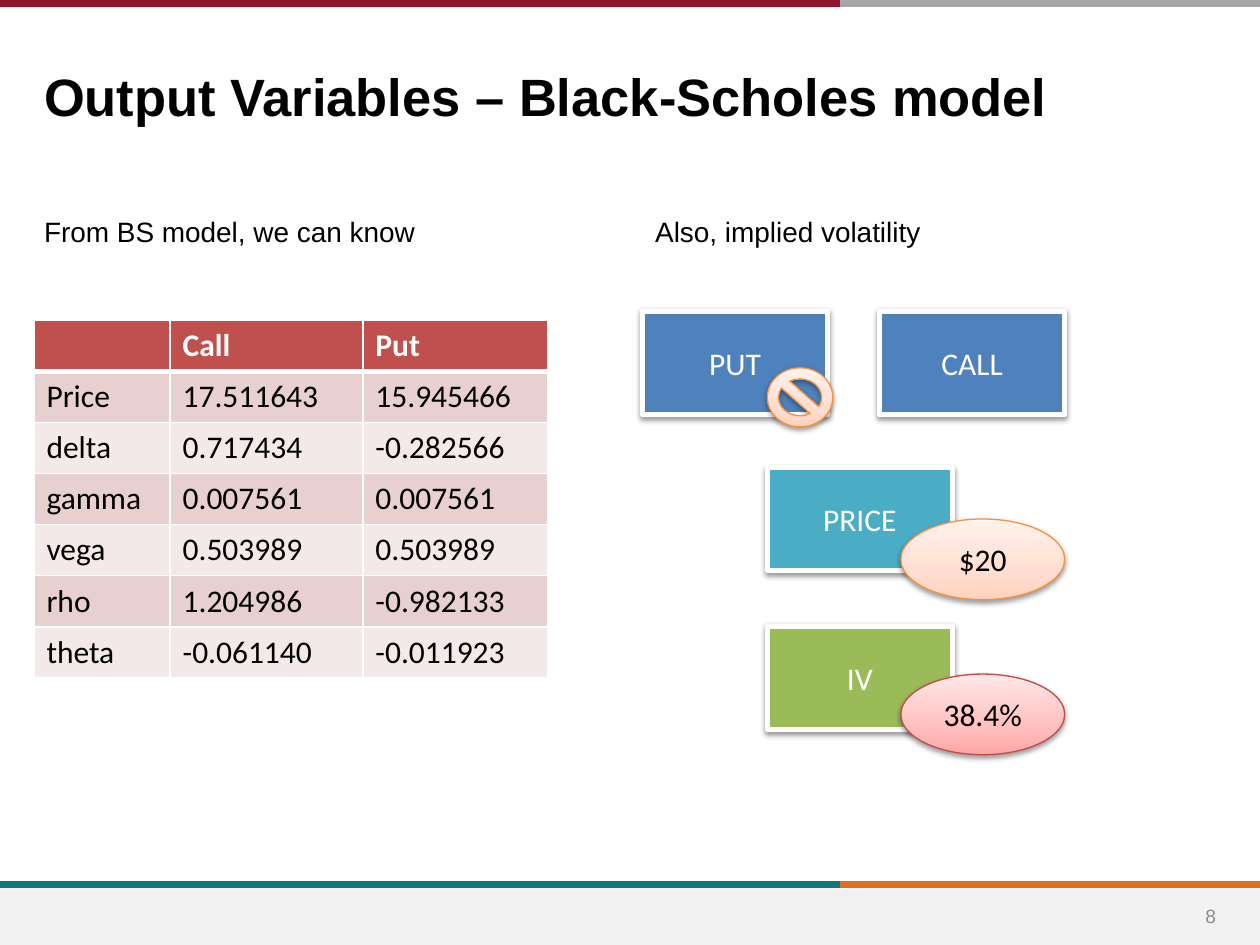
from copy import deepcopy
from dataclasses import dataclass

from lxml.etree import SubElement
from pptx import Presentation
from pptx.dml.color import RGBColor
from pptx.enum.shapes import MSO_CONNECTOR as Connector, MSO_SHAPE as Shape
from pptx.enum.text import MSO_ANCHOR as Anchor, PP_ALIGN as Align
from pptx.oxml.ns import qn
from pptx.util import Pt


@dataclass(frozen=True)
class Theme:
    """Colours, fonts and type sizes of the slide."""
    heading_font: str = "Arial"
    label_font: str = "Calibri"
    title_size: float = 30
    body_size: float = 16
    label_size: float = 18
    number_size: float = 11
    black: str = "000000"
    white: str = "FFFFFF"
    grey: str = "A6A6A6"
    number: str = "8C8C8C"
    footer: str = "F2F2F2"
    crimson: str = "90152A"
    teal: str = "0F787D"
    orange: str = "DF7023"
    blue: str = "4F81BD"
    aqua: str = "4BACC6"
    green: str = "9BBB59"
    table_header: str = "C0504D"
    table_rows: tuple = ("E8D0D0", "F4E9E9")
    peach: tuple = ("FFD2BD", "FFDED0", "FFF2ED")
    peach_line: str = "F69240"
    rose: tuple = ("FFA6A5", "FFC0BF", "FFE7E7")
    rose_line: str = "BF4C48"


THEME = Theme()
GREEKS = [
    ("", "Call", "Put"),
    ("Price", "17.511643", "15.945466"),
    ("delta", "0.717434", "-0.282566"),
    ("gamma", "0.007561", "0.007561"),
    ("vega", "0.503989", "0.503989"),
    ("rho", "1.204986", "-0.982133"),
    ("theta", "-0.061140", "-0.011923"),
]


def rgb(value):
    """Return a colour object for a hex value."""
    return RGBColor.from_string(value)


def points(*values):
    """Return the values as lengths in points."""
    return [Pt(value) for value in values]


def write(text_frame, text, font, size, color, bold=False, align=Align.LEFT):
    """Set one paragraph of text and format its run."""
    text_frame.text = text
    paragraph = text_frame.paragraphs[0]
    paragraph.alignment = align
    for run in paragraph.runs:
        run.font.name, run.font.size, run.font.bold = font, Pt(size), bold
        run.font.color.rgb = rgb(color)
    return paragraph


def add_stripe(slide, left, y, width, color):
    """Draw one thick horizontal line."""
    line = slide.shapes.add_connector(Connector.STRAIGHT, *points(left, y, left + width, y))
    line.line.color.rgb = rgb(color)
    line.line.width = Pt(4)
    SubElement(line._element.spPr, qn("a:effectLst"))


def add_frame(slide, width, height):
    """Draw the top and bottom stripes, the footer band and the slide number."""
    split, footer_height = width * 2 / 3, 32.4
    for y, left_color, right_color in (
        (2, THEME.crimson, THEME.grey),
        (505.5, THEME.teal, THEME.orange),
    ):
        add_stripe(slide, split, y, width - split, right_color)
        add_stripe(slide, 0, y, split, left_color)
    band = slide.shapes.add_shape(
        Shape.RECTANGLE, *points(0, height - footer_height, width, footer_height))
    band.shadow.inherit = False
    band.fill.solid()
    band.fill.fore_color.rgb = rgb(THEME.footer)
    band.line.fill.background()
    number = slide.shapes.add_textbox(*points(673.2, 509, 37.4, 28.8)).text_frame
    number.word_wrap = True
    number.vertical_anchor = Anchor.MIDDLE
    write(number, "8", THEME.heading_font, THEME.number_size, THEME.number, align=Align.CENTER)


def place(placeholder, left, top, width, height):
    """Move a placeholder to a box."""
    placeholder.left, placeholder.top, placeholder.width, placeholder.height = points(
        left, top, width, height)


def fill_title(title, box, text):
    """Place and format the slide title."""
    place(title, *box)
    title.text_frame.vertical_anchor = Anchor.MIDDLE
    write(title.text_frame, text, THEME.heading_font, THEME.title_size, THEME.black, bold=True)


def fill_body(body, box, text):
    """Place a body placeholder and set its unbulleted lead line."""
    place(body, *box)
    body.text_frame.margin_top = Pt(35)
    paragraph = write(body.text_frame, text, THEME.heading_font, THEME.body_size, THEME.black)
    properties = paragraph._p.get_or_add_pPr()
    properties.set("marL", "0")
    properties.set("indent", "0")
    SubElement(properties, qn("a:buNone"))
    paragraph.space_before, paragraph.space_after = Pt(0), Pt(12)


def add_border(cell, side, width):
    """Draw a white border on one side of a cell."""
    border = SubElement(cell._tc.get_or_add_tcPr(), qn(f"a:ln{side}"), w=str(Pt(width)))
    fill = SubElement(border, qn("a:solidFill"))
    SubElement(fill, qn("a:srgbClr"), val=THEME.white)


def add_greeks_table(slide, left, top, column_widths, row_height):
    """Build the table of call and put values."""
    table = slide.shapes.add_table(
        len(GREEKS), len(column_widths),
        *points(left, top, sum(column_widths), row_height * len(GREEKS))).table
    for column, width in zip(table.columns, column_widths):
        column.width = Pt(width)
    for index, values in enumerate(GREEKS):
        table.rows[index].height = Pt(row_height)
        header = index == 0
        for cell, value in zip(table.rows[index].cells, values):
            for side in "LRTB":
                thick = (index, side) in ((0, "B"), (1, "T"))
                add_border(cell, side, 3 if thick else 1)
            cell.fill.solid()
            cell.fill.fore_color.rgb = rgb(
                THEME.table_header if header else THEME.table_rows[(index - 1) % 2])
            write(cell.text_frame, value, THEME.label_font, THEME.label_size,
                  THEME.white if header else THEME.black, bold=header)


def add_node(slide, kind, box, text, fill, line, line_width, text_color):
    """Add a shadowed shape with a plain or gradient fill and a centred label."""
    shape = slide.shapes.add_shape(kind, *points(*box))
    if isinstance(fill, tuple):
        shape.fill.gradient()
        shape.fill.gradient_angle = 90
        stop_list = shape._element.spPr.find(".//" + qn("a:gsLst"))
        stop_list.append(deepcopy(stop_list[-1]))
        for stop, color, position in zip(shape.fill.gradient_stops, fill, (0, 0.35, 1)):
            stop.color.rgb = rgb(color)
            stop.position = position
    else:
        shape.fill.solid()
        shape.fill.fore_color.rgb = rgb(fill)
    shape.line.color.rgb = rgb(line)
    shape.line.width = Pt(line_width)
    shape.shadow.inherit = False
    shadow = SubElement(
        shape._element.spPr.find(qn("a:effectLst")), qn("a:outerShdw"),
        blurRad=str(Pt(3.1)), dist=str(Pt(1.6)), dir="5400000", rotWithShape="0")
    color = SubElement(shadow, qn("a:srgbClr"), val=THEME.black)
    SubElement(color, qn("a:alpha"), val="38000")
    if text:
        shape.text_frame.vertical_anchor = Anchor.MIDDLE
        write(shape.text_frame, text, THEME.label_font, THEME.label_size, text_color,
              align=Align.CENTER)


def add_volatility_diagram(slide, left, top, width):
    """Draw the option boxes with their badges."""
    box_width, box_height, badge_width, badge_height = 105.8, 59, 93.6, 46.1
    middle = left + 71.3
    badge_left = left + width - badge_width
    for text, x, y, color in (
        ("CALL", left + width - box_width, top, THEME.blue),
        ("PUT", left, top, THEME.blue),
        ("PRICE", middle, top + 89.3, THEME.aqua),
        ("IV", middle, top + 180, THEME.green),
    ):
        add_node(slide, Shape.RECTANGLE, (x, y, box_width, box_height), text, color,
                 THEME.white, 3, THEME.white)
    for kind, text, box, fill, line in (
        (Shape.OVAL, "$20", (badge_left, top + 118.8, badge_width, badge_height),
         THEME.peach, THEME.peach_line),
        (Shape.NO_SYMBOL, "", (middle, top + 32.4, 37.4, 33.8),
         THEME.peach, THEME.peach_line),
        (Shape.OVAL, "38.4%", (badge_left, top + 207.4, badge_width, badge_height),
         THEME.rose, THEME.rose_line),
    ):
        add_node(slide, kind, box, text, fill, line, 0.75, THEME.black)


def main():
    """Build and save the slide."""
    presentation = Presentation()
    presentation.slide_width, presentation.slide_height = points(720, 540)
    slide = presentation.slides.add_slide(presentation.slide_layouts[3])
    title, left_body, right_body = slide.placeholders
    add_frame(slide, 720, 540)
    fill_title(title, (18, 33.1, 590.4, 42.5), "Output Variables – Black-Scholes model")
    fill_body(left_body, (18, 87.8, 334.8, 392.4), "From BS model, we can know")
    fill_body(right_body, (367.2, 87.8, 334.8, 392.4), "Also, implied volatility")
    add_greeks_table(slide, 19.4, 183, (77.8, 110.2, 105.8), 29.2)
    add_volatility_diagram(slide, 367.2, 177.8, 241.2)
    presentation.save("out.pptx")


if __name__ == "__main__":
    main()
